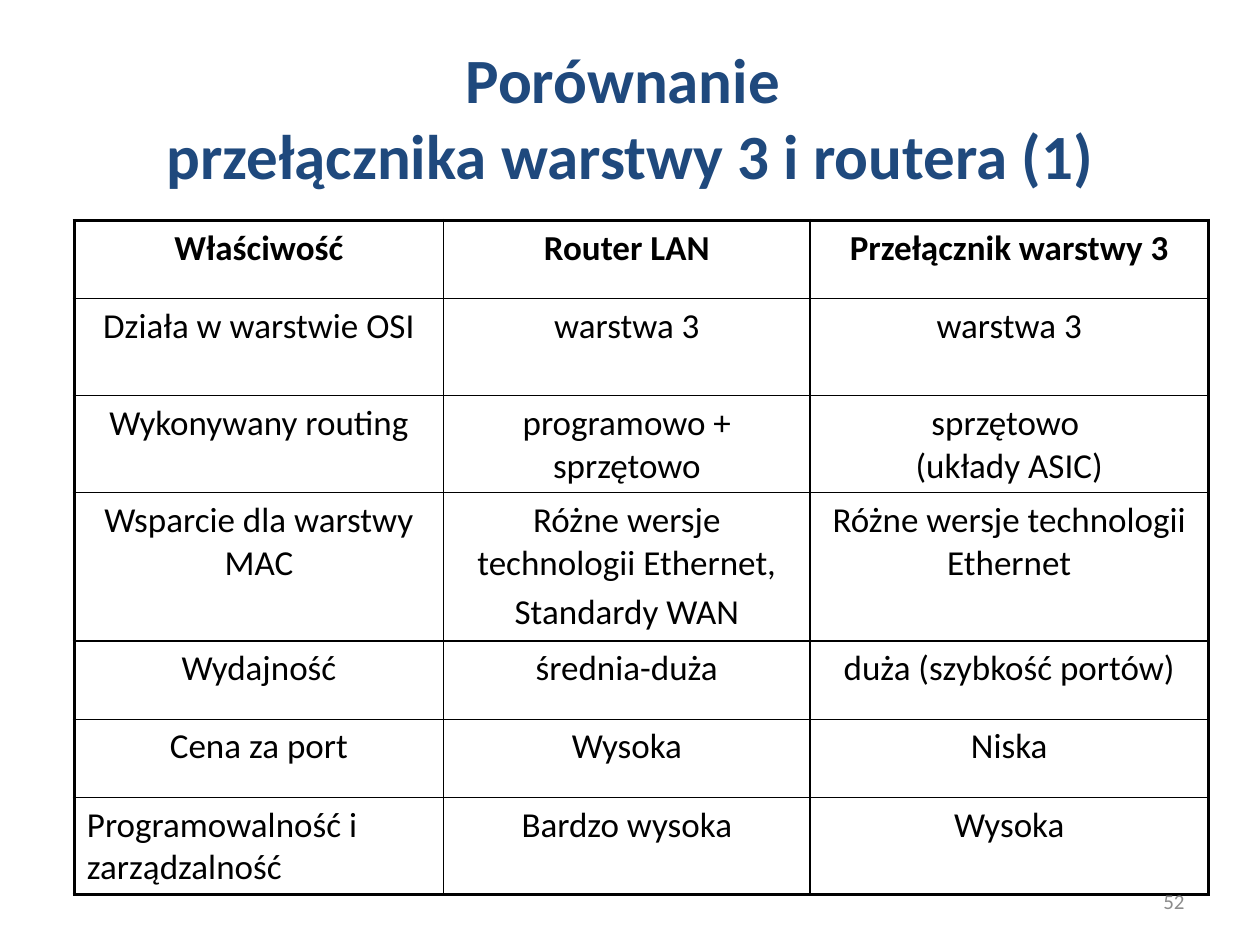
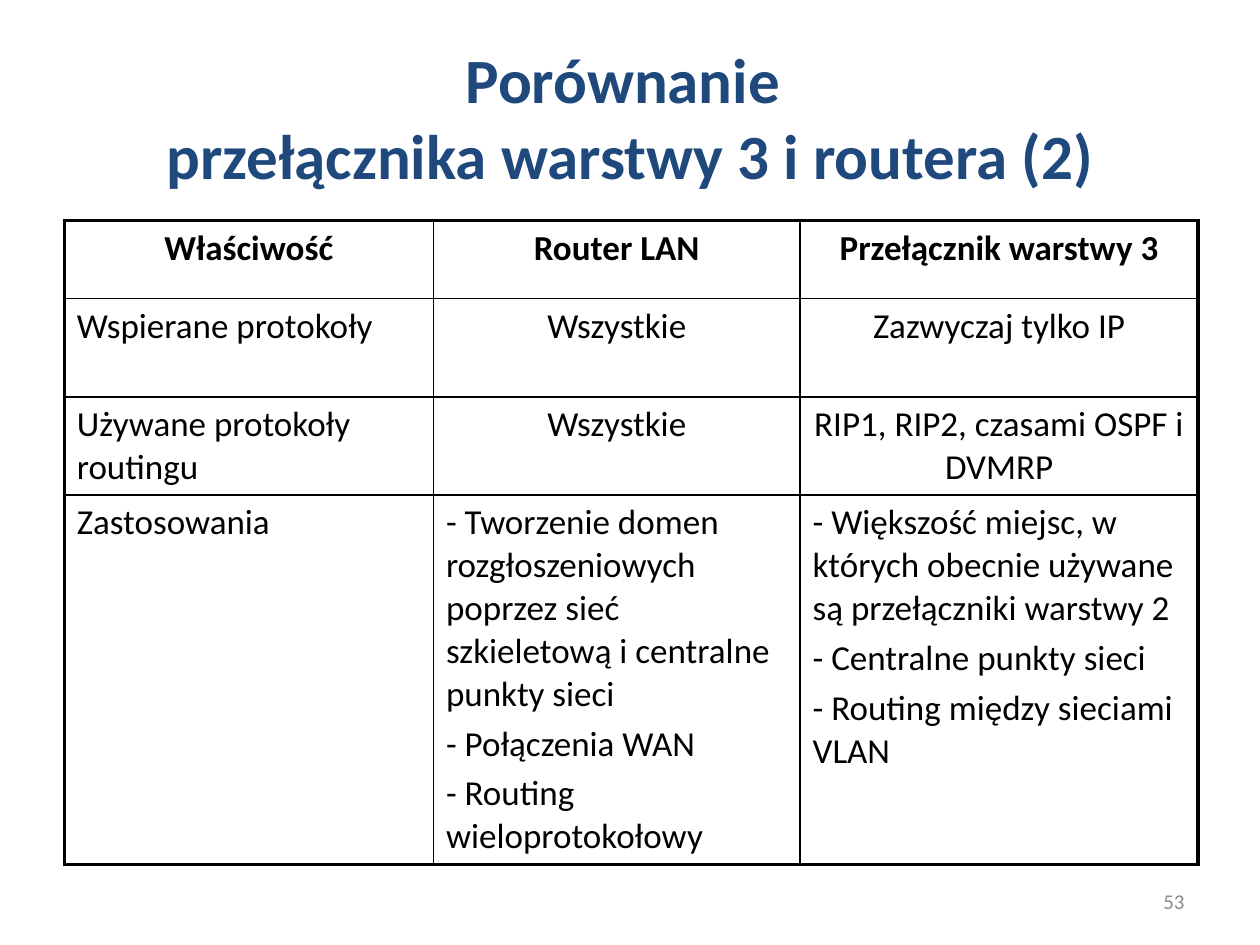
from dataclasses import dataclass

from lxml.etree import SubElement
from pptx import Presentation
from pptx.dml.color import RGBColor
from pptx.enum.text import MSO_ANCHOR, PP_ALIGN
from pptx.oxml.ns import qn
from pptx.slide import Slide
from pptx.table import _Cell
from pptx.text.text import TextFrame
from pptx.util import Inches, Pt

FONT = "Calibri"
NAVY, BLACK, GRAY = "1F497D", "000000", "8C8C8C"
THIN, THICK = 1, 2.25
ALIGN = {"l": PP_ALIGN.LEFT, "c": PP_ALIGN.CENTER, "r": PP_ALIGN.RIGHT}
WIDTHS = (2.93, 2.91, 3.16)


@dataclass
class Row:
    height: float
    cells: tuple[str, ...]
    align: str = "ccc"  # one letter per column


@dataclass
class Page:
    order: int
    number: int
    left: float
    rows: list[Row]


HEAD = Row(0.62, ("Właściwość", "Router LAN", "Przełącznik warstwy 3"))

PAGES = [
    Page(1, 52, 0.59, [
        HEAD,
        Row(0.77, ("Działa w warstwie OSI", "warstwa 3", "warstwa 3")),
        Row(0.77, ("Wykonywany routing", "programowo + sprzętowo",
                   "sprzętowo \v(układy ASIC)")),
        Row(1.18, ("Wsparcie dla warstwy MAC",
                   "Różne wersje technologii Ethernet,\nStandardy WAN",
                   "Różne wersje technologii Ethernet")),
        Row(0.62, ("Wydajność", "średnia-duża", "duża (szybkość portów)")),
        Row(0.62, ("Cena za port", "Wysoka", "Niska")),
        Row(0.77, ("Programowalność i zarządzalność", "Bardzo wysoka",
                   "Wysoka"), "lcc"),
    ]),
    Page(2, 53, 0.51, [
        HEAD,
        Row(0.78, ("Wspierane protokoły", "Wszystkie",
                   "Zazwyczaj tylko IP"), "lcc"),
        Row(0.78, ("Używane protokoły routingu", "Wszystkie",
                   "RIP1, RIP2, czasami OSPF i DVMRP"), "lcc"),
        Row(2.93, ("Zastosowania",
                   "- Tworzenie domen rozgłoszeniowych poprzez sieć "
                   "szkieletową i centralne punkty sieci\n"
                   "- Połączenia WAN\n- Routing wieloprotokołowy",
                   "- Większość miejsc, w których obecnie używane są "
                   "przełączniki warstwy 2\n- Centralne punkty sieci\n"
                   "- Routing między sieciami VLAN"), "lll"),
    ]),
]


def color(code: str) -> RGBColor:
    return RGBColor.from_string(code)


def write(frame: TextFrame, text: str, size: float, tint: str,
          align: str, bold: bool = False) -> None:
    frame.text = text
    frame.word_wrap = True
    for i, para in enumerate(frame.paragraphs):
        para.alignment = ALIGN[align]
        if i:
            para.space_before = Pt(size * 0.2)
        for run in para.runs:
            font = run.font
            font.name, font.size, font.bold = FONT, Pt(size), bold
            font.color.rgb = color(tint)


def add_text(slide: Slide, box: tuple[float, ...], text: str, size: float,
             tint: str, align: str, bold: bool = False) -> None:
    frame = slide.shapes.add_textbox(*map(Inches, box)).text_frame
    frame.vertical_anchor = MSO_ANCHOR.MIDDLE
    write(frame, text, size, tint, align, bold)


def add_edge(cell: _Cell, side: str, width: float) -> None:
    props = cell._tc.get_or_add_tcPr()
    line = SubElement(props, qn(f"a:ln{side}"), w=str(Pt(width)))
    fill = SubElement(line, qn("a:solidFill"))
    SubElement(fill, qn("a:srgbClr"), val=BLACK)


def add_grid(slide: Slide, left: float, rows: list[Row]) -> None:
    high = sum(row.height for row in rows)
    table = slide.shapes.add_table(
        len(rows), len(WIDTHS), Inches(left), Inches(1.75),
        Inches(sum(WIDTHS)), Inches(high)).table
    table.first_row = table.horz_banding = False
    for col, width in zip(table.columns, WIDTHS):
        col.width = Inches(width)
    for r, row in enumerate(rows):
        table.rows[r].height = Inches(row.height)
        for c, text in enumerate(row.cells):
            cell = table.cell(r, c)
            write(cell.text_frame, text, 20, BLACK, row.align[c], r == 0)
            # Thick lines only around the outside of the table
            outer = {"L": c == 0, "R": c == len(WIDTHS) - 1,
                     "T": r == 0, "B": r == len(rows) - 1}
            for side, edge in outer.items():
                add_edge(cell, side, THICK if edge else THIN)
            cell.fill.background()


def main() -> None:
    deck = Presentation()
    deck.slide_width, deck.slide_height = Inches(10), Inches(7.5)
    for page in PAGES:
        slide = deck.slides.add_slide(deck.slide_layouts[6])
        # Title
        title = f"Porównanie \vprzełącznika warstwy 3 i routera ({page.order})"
        add_text(slide, (0.5, 0.3, 9, 1.25), title, 36, NAVY, "c", True)
        # Comparison table
        add_grid(slide, page.left, page.rows)
        # Page number
        add_text(slide, (7.17, 6.95, 2.33, 0.4), str(page.number),
                 12, GRAY, "r")
    deck.save("out.pptx")


if __name__ == "__main__":
    main()
